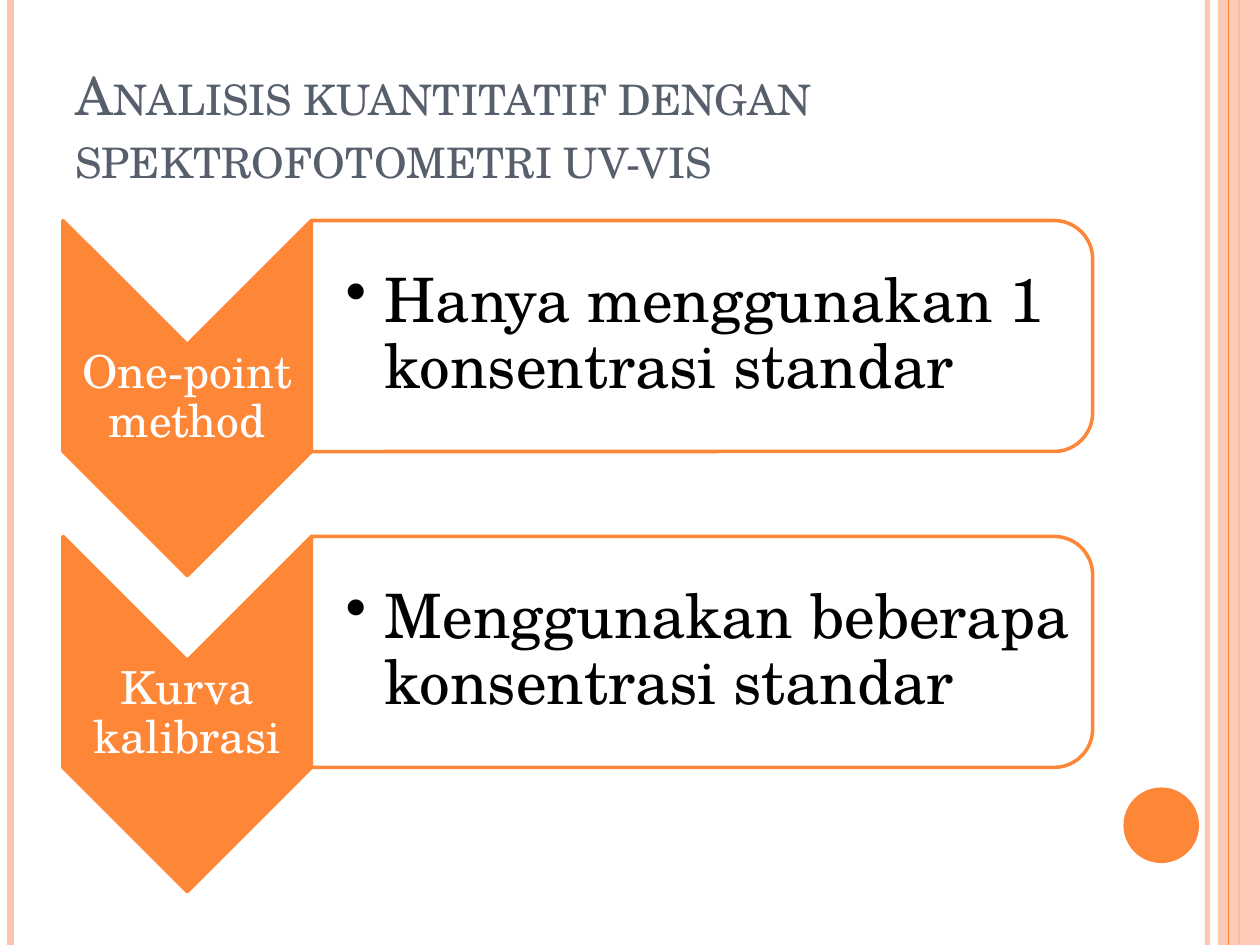
from lxml.etree import SubElement
from pptx import Presentation
from pptx.dml.color import RGBColor
from pptx.enum.shapes import MSO_CONNECTOR as Connector, MSO_SHAPE as Shape
from pptx.enum.text import MSO_ANCHOR as Anchor, PP_ALIGN as Align
from pptx.oxml.ns import qn
from pptx.util import Pt

ORANGE = RGBColor(0xFE, 0x86, 0x37)
PEACH = RGBColor(0xFE, 0xC3, 0xAE)
SLATE = RGBColor(0x57, 0x5F, 0x6D)
WHITE = RGBColor(0xFF, 0xFF, 0xFF)
BLACK = RGBColor(0, 0, 0)
FONT = "TeX Gyre Schola"
WIDTH, HEIGHT = 720, 540

METHODS = [
    ("One-point method", "Hanya menggunakan 1 konsentrasi standar"),
    ("Kurva kalibrasi", "Menggunakan beberapa konsentrasi standar"),
]
FIRST_TOP, ROW_PITCH = 126, 180.5
CHEVRON_LEFT, CHEVRON_WIDTH, CHEVRON_HEIGHT = 36, 142, 203
PANEL_LEFT, PANEL_WIDTH, PANEL_HEIGHT = 178, 446.4, 132


def set_opacity(fill, percent):
    color = fill._xPr.find(qn("a:solidFill"))[0]
    SubElement(color, qn("a:alpha"), val=str(percent * 1000))


def add_vertical_line(slide, x, color, weight, opacity=None):
    line = slide.shapes.add_connector(
        Connector.STRAIGHT, Pt(x), Pt(0), Pt(x), Pt(HEIGHT))
    line.line.color.rgb = color
    line.line.width = Pt(weight)
    if opacity:
        set_opacity(line.line.fill, opacity)
    SubElement(line._element.spPr, qn("a:effectLst"))


def add_filled_shape(slide, kind, left, top, width, height, fill,
                     opacity=None, outline=None):
    shape = slide.shapes.add_shape(kind, Pt(left), Pt(top), Pt(width), Pt(height))
    shape.shadow.inherit = False
    shape.fill.solid()
    shape.fill.fore_color.rgb = fill
    if opacity:
        set_opacity(shape.fill, opacity)
    if outline:
        shape.line.color.rgb = outline
        shape.line.width = Pt(2)
    else:
        shape.line.fill.background()
    return shape


def add_turned_shape(slide, kind, left, top, width, height, fill, opacity=None):
    """Place a shape turned by 90 degrees so that it covers the given box."""
    shift = (width - height) / 2
    shape = add_filled_shape(slide, kind, left + shift, top - shift, height, width,
                             fill, opacity, outline=ORANGE)
    shape.rotation = 90


def add_text(slide, text, left, top, width, height, *, size, color,
             anchor=Anchor.MIDDLE, align=Align.LEFT, insets=(1.5, 1.5, 1.5, 1.5),
             line_spacing=None, bullet_indent=None, small_caps=False):
    box = slide.shapes.add_textbox(Pt(left), Pt(top), Pt(width), Pt(height))
    frame = box.text_frame
    frame.word_wrap = True
    frame.vertical_anchor = anchor
    (frame.margin_left, frame.margin_top,
     frame.margin_right, frame.margin_bottom) = map(Pt, insets)
    paragraph = frame.paragraphs[0]
    paragraph.alignment = align
    if line_spacing:
        paragraph.line_spacing = line_spacing
    if bullet_indent:
        properties = paragraph._p.get_or_add_pPr()
        properties.set("marL", str(Pt(bullet_indent)))
        properties.set("indent", str(-Pt(bullet_indent)))
        SubElement(properties, qn("a:buChar"), char="•")
    run = paragraph.add_run()
    run.text = text
    run.font.name = FONT
    run.font.size = Pt(size)
    run.font.color.rgb = color
    if small_caps:
        run._r.get_or_add_rPr().set("cap", "small")


def add_background(slide):
    add_vertical_line(slide, 690, PEACH, 3, opacity=93)
    add_vertical_line(slide, 6, PEACH, 4.5)
    add_vertical_line(slide, 708, ORANGE, 1.5)
    add_filled_shape(slide, Shape.RECTANGLE, 696, 0, WIDTH - 696, HEIGHT,
                     PEACH, opacity=87)
    add_vertical_line(slide, 702, ORANGE, 0.75)
    add_filled_shape(slide, Shape.OVAL, 642, 450, 43.2, 43.2, ORANGE)


def add_method(slide, top, name, description):
    # Chevron and its label
    add_turned_shape(slide, Shape.CHEVRON, CHEVRON_LEFT, top,
                     CHEVRON_WIDTH, CHEVRON_HEIGHT, ORANGE)
    add_text(slide, name, CHEVRON_LEFT, top + CHEVRON_WIDTH / 2,
             CHEVRON_WIDTH, CHEVRON_HEIGHT - CHEVRON_WIDTH,
             size=26, color=WHITE, align=Align.CENTER, line_spacing=0.9)
    # Panel and its bullet
    add_turned_shape(slide, Shape.ROUND_2_SAME_RECTANGLE, PANEL_LEFT, top,
                     PANEL_WIDTH, PANEL_HEIGHT, WHITE, opacity=90)
    add_text(slide, description, PANEL_LEFT, top + 6.5, 440, PANEL_HEIGHT - 13,
             size=35, color=BLACK, insets=(19.5, 1.5, 1.5, 1.5),
             line_spacing=0.9, bullet_indent=22.5)


def main():
    presentation = Presentation()
    presentation.slide_width, presentation.slide_height = Pt(WIDTH), Pt(HEIGHT)
    slide = presentation.slides.add_slide(presentation.slide_layouts[6])

    add_background(slide)
    add_text(slide, "Analisis kuantitatif dengan spektrofotometri uv-vis",
             36, 21.6, 588, 90, size=30, color=SLATE, anchor=Anchor.BOTTOM,
             insets=(7.2, 3.6, 7.2, 3.6), small_caps=True)
    for row, (name, description) in enumerate(METHODS):
        add_method(slide, FIRST_TOP + row * ROW_PITCH, name, description)

    presentation.save("out.pptx")


if __name__ == "__main__":
    main()
